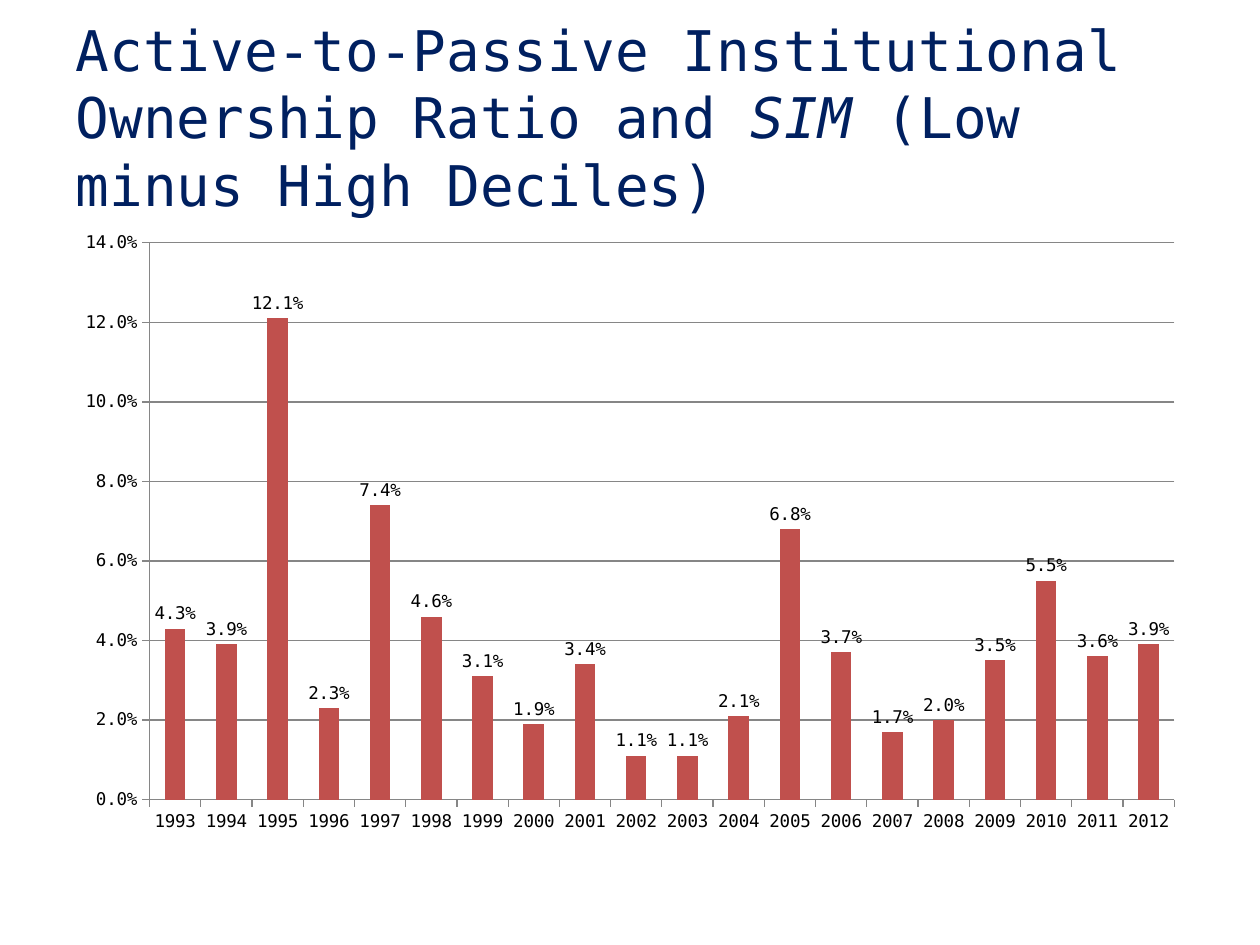
from pptx import Presentation
from pptx.chart.data import CategoryChartData
from pptx.dml.color import RGBColor
from pptx.enum.chart import XL_CHART_TYPE, XL_LABEL_POSITION, XL_TICK_MARK
from pptx.enum.text import MSO_ANCHOR, MSO_AUTO_SIZE, PP_ALIGN
from pptx.util import Inches, Pt

NAVY = RGBColor(0x00, 0x20, 0x60)
RED = RGBColor(0xC0, 0x50, 0x4D)
GRAY = RGBColor(0x86, 0x86, 0x86)
BLACK = RGBColor(0x00, 0x00, 0x00)
FONT = "DejaVu Sans Mono"
PERCENT = "0.0%"

FIRST_YEAR = 1993
SPREADS = [0.043, 0.039, 0.121, 0.023, 0.074, 0.046, 0.031, 0.019, 0.034, 0.011,
           0.011, 0.021, 0.068, 0.037, 0.017, 0.02, 0.035, 0.055, 0.036, 0.039]

presentation = Presentation()
presentation.slide_width = Inches(10)
presentation.slide_height = Inches(7.5)
slide = presentation.slides.add_slide(presentation.slide_layouts[5])

# Title
title = slide.shapes.title
title.left, title.top = Inches(0.5), Inches(0.3)
title.width, title.height = Inches(9), Inches(1.25)
title_frame = title.text_frame
title_frame.word_wrap = True
title_frame.auto_size = MSO_AUTO_SIZE.NONE
title_frame.vertical_anchor = MSO_ANCHOR.MIDDLE
paragraph = title_frame.paragraphs[0]
paragraph.alignment = PP_ALIGN.LEFT
for text, italic in [
    ("Active-to-Passive Institutional Ownership Ratio and ", False),
    ("SIM ", True),
    ("(Low minus High Deciles)", False),
]:
    run = paragraph.add_run()
    run.text = text
    run.font.name = FONT
    run.font.size = Pt(32)
    run.font.italic = italic
    run.font.color.rgb = NAVY

# Column chart
chart_data = CategoryChartData(number_format=PERCENT)
chart_data.categories = [str(FIRST_YEAR + i) for i in range(len(SPREADS))]
chart_data.add_series("Series 1", SPREADS)
chart = slide.shapes.add_chart(
    XL_CHART_TYPE.COLUMN_CLUSTERED,
    Inches(0.5), Inches(1.75), Inches(9), Inches(4.95), chart_data,
).chart
chart.has_title = False
chart.has_legend = False
chart.font.name = FONT
chart.font.size = Pt(10)
chart.font.color.rgb = BLACK

plot = chart.plots[0]
plot.gap_width = 150
plot.vary_by_categories = False
series = plot.series[0]
series.format.fill.solid()
series.format.fill.fore_color.rgb = RED
labels = series.data_labels
labels.show_value = True
labels.number_format = PERCENT
labels.number_format_is_linked = False
labels.position = XL_LABEL_POSITION.OUTSIDE_END

value_axis = chart.value_axis
value_axis.minimum_scale = 0
value_axis.maximum_scale = 0.14
value_axis.major_unit = 0.02
value_axis.has_major_gridlines = True
value_axis.major_gridlines.format.line.color.rgb = GRAY
value_axis.major_gridlines.format.line.width = Pt(0.75)
value_axis.tick_labels.number_format = PERCENT
value_axis.tick_labels.number_format_is_linked = False
for axis in (chart.category_axis, value_axis):
    axis.major_tick_mark = XL_TICK_MARK.OUTSIDE
    axis.minor_tick_mark = XL_TICK_MARK.NONE
    axis.format.line.color.rgb = GRAY
    axis.format.line.width = Pt(0.75)

presentation.save("out.pptx")
